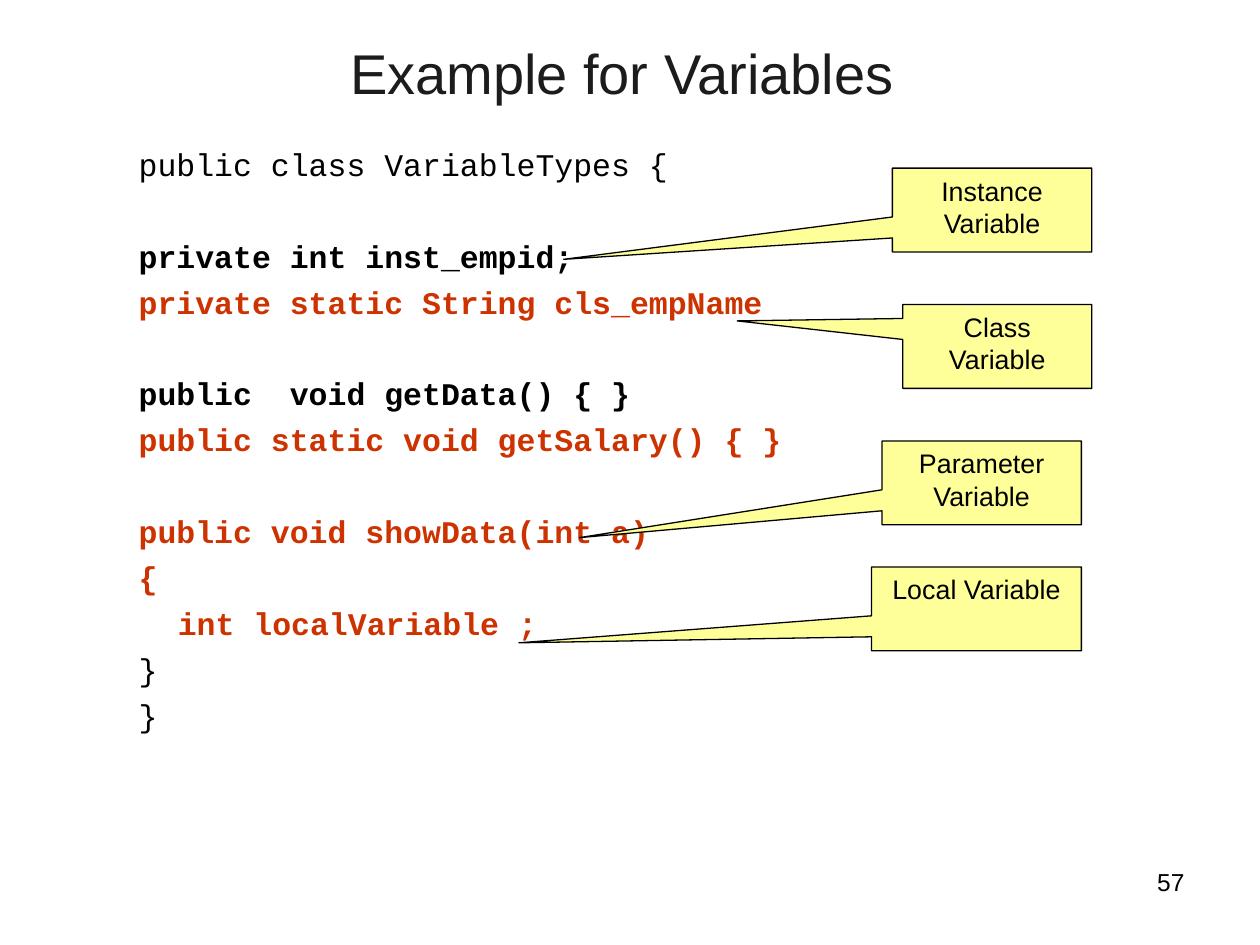
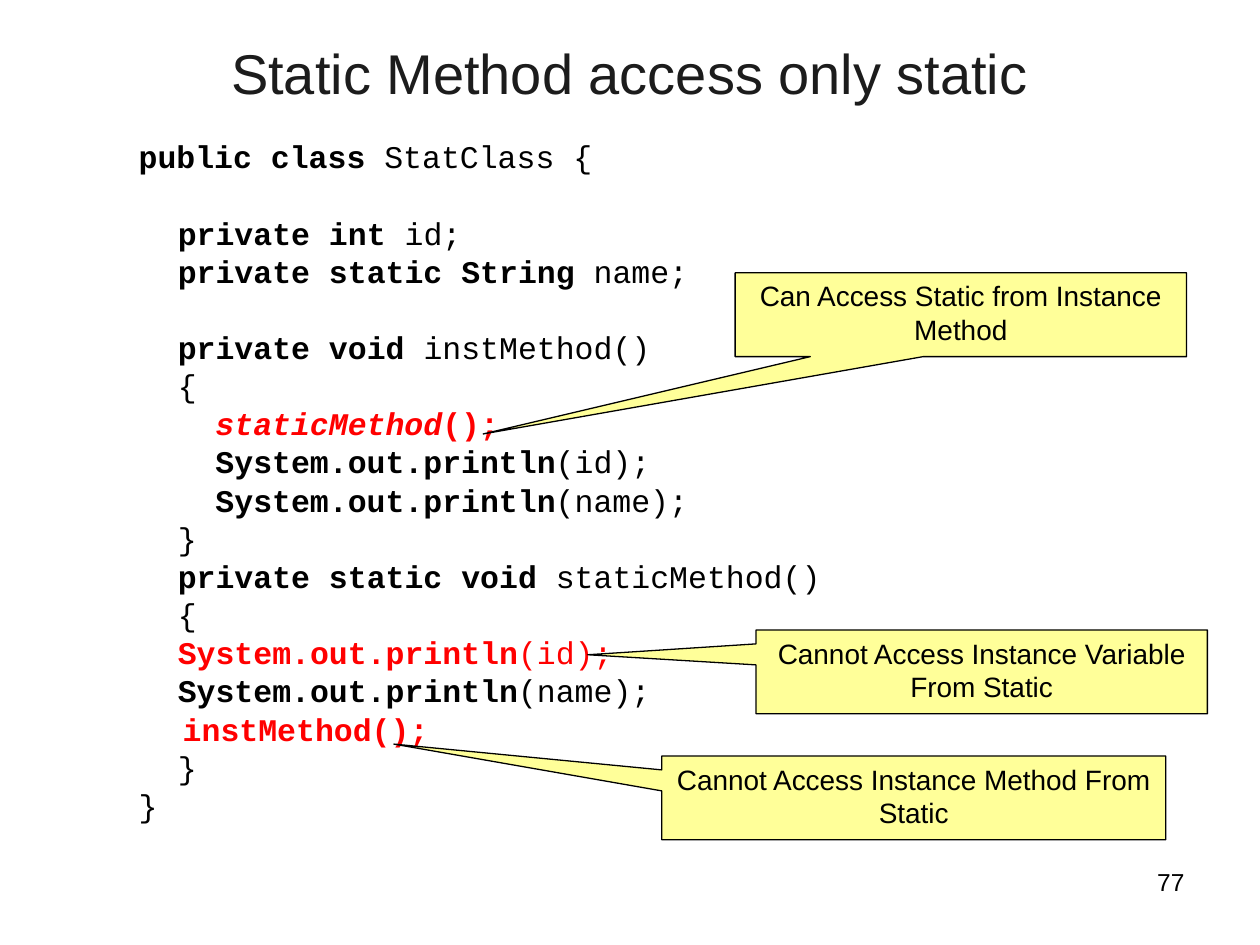
from lxml import etree
from pptx import Presentation
from pptx.dml.color import RGBColor
from pptx.enum.shapes import MSO_SHAPE
from pptx.enum.text import MSO_ANCHOR, MSO_AUTO_SIZE, PP_ALIGN
from pptx.oxml.ns import qn
from pptx.util import Cm, Pt

CALLOUT = MSO_SHAPE.RECTANGULAR_CALLOUT
TOP, MIDDLE = MSO_ANCHOR.TOP, MSO_ANCHOR.MIDDLE
CENTER, RIGHT = PP_ALIGN.CENTER, PP_ALIGN.RIGHT
FIXED = MSO_AUTO_SIZE.NONE

BLACK = RGBColor(0x00, 0x00, 0x00)
CHARCOAL = RGBColor(0x1C, 0x1C, 0x1C)
RUST = RGBColor(0xCC, 0x33, 0x00)
RED = RGBColor(0xFF, 0x00, 0x00)
PALE_YELLOW = RGBColor(0xFF, 0xFF, 0x99)

# Code styles: colour, bold, italic
PLAIN = (BLACK, False, False)
BOLD = (BLACK, True, False)
RUST_BOLD = (RUST, True, False)
RED_PLAIN = (RED, False, False)
RED_BOLD = (RED, True, False)
RED_ITALIC = (RED, True, True)

# Code indents in cm
OUTER, MEMBER, CALL, INNER = 1.27, 2.06, 2.16, 2.82


class Lesson:
    """Holds the deck, the shared style and the current page."""

    sans, mono = "Arial", "Courier New"
    code_size, code_gap = 18, 4.5
    callout_height = 1.69

    def __init__(self):
        self.deck = Presentation()
        self.deck.slide_width, self.deck.slide_height = Cm(25.4), Cm(19.05)
        self.page = None

    def place(self, box, left, top, width, height):
        box.left, box.top = Cm(left), Cm(top)
        box.width, box.height = Cm(width), Cm(height)

    def style(self, span, font, size, color, bold=False, italic=False):
        span.font.name, span.font.size = font, Pt(size)
        span.font.color.rgb = color
        span.font.bold, span.font.italic = bold, italic

    def label(self, box, text, size, color, align, anchor):
        frame = box.text_frame
        frame.text = text
        frame.word_wrap, frame.auto_size = True, FIXED
        frame.vertical_anchor = anchor
        para = frame.paragraphs[0]
        para.alignment = align
        self.style(para.runs[0], self.sans, size, color)

    def start(self, title, number):
        self.page = self.deck.slides.add_slide(self.deck.slide_layouts[1])
        heading = self.page.shapes.title
        self.place(heading, 1.27, 0.76, 22.86, 1.37)
        self.label(heading, title, 32, CHARCOAL, CENTER, MIDDLE)
        footer = self.page.shapes.add_textbox(Cm(18.2), Cm(17.35), Cm(5.93), Cm(1.32))
        self.label(footer, number, 14, BLACK, RIGHT, TOP)

    def code(self, lines, line_height):
        """Each line is (indent, skipped lines before it, *(text, style) spans)."""
        body = self.page.placeholders[1]
        self.place(body, 1.27, 2.72, 22.86, 14.3)
        frame = body.text_frame
        frame.word_wrap, frame.auto_size = True, FIXED
        frame.vertical_anchor, frame.margin_top = TOP, Cm(0.2)
        for index, (indent, skipped, *spans) in enumerate(lines):
            para = frame.add_paragraph() if index else frame.paragraphs[0]
            para.level = 1
            properties = para._p.get_or_add_pPr()
            properties.set("marL", str(Cm(indent)))
            properties.set("indent", "0")
            etree.SubElement(properties, qn("a:buNone"))
            para.line_spacing = Pt(line_height)
            space = self.code_gap + skipped * (line_height + self.code_gap)
            para.space_before = Pt(space if index else 0)
            for text, look in spans:
                span = para.add_run()
                span.text = text
                self.style(span, self.mono, self.code_size, *look)

    def callout(self, text, left, top, width, tip, size):
        height = self.callout_height
        box = self.page.shapes.add_shape(
            CALLOUT, Cm(left), Cm(top), Cm(width), Cm(height))
        # The tip is stored as an offset from the centre, in box sizes
        box.adjustments[0] = (tip[0] - left) / width - 0.5
        box.adjustments[1] = (tip[1] - top) / height - 0.5
        box.shadow.inherit = False
        box.fill.solid()
        box.fill.fore_color.rgb = PALE_YELLOW
        box.line.color.rgb, box.line.width = BLACK, Pt(0.74)
        self.label(box, text, size, BLACK, CENTER, TOP)


lesson = Lesson()

# Kinds of variables
lesson.start("Example for Variables ", "57")
lesson.code([
    (OUTER, 0, ("public class VariableTypes {", PLAIN)),
    (OUTER, 1, ("private int inst_empid;", BOLD)),
    (OUTER, 0, ("private static String cls_empName", RUST_BOLD)),
    (OUTER, 1, ("public  void getData() { }", BOLD)),
    (OUTER, 0, ("public static void getSalary() { }", RUST_BOLD)),
    (OUTER, 1, ("public void showData(int a)", RUST_BOLD)),
    (OUTER, 0, ("{", RUST_BOLD)),
    (MEMBER, 0, ("int localVariable ;", RUST_BOLD)),
    (OUTER, 0, ("}", PLAIN)),
    (OUTER, 0, ("}", PLAIN)),
], 21.7)
for text, left, top, width, tip in [
    ("Instance Variable", 17.99, 3.39, 4.02, (11.36, 5.23)),
    ("Local Variable", 17.57, 11.43, 4.23, (10.46, 12.96)),
    ("Parameter Variable", 17.78, 8.89, 4.02, (11.68, 10.84)),
    ("Class Variable", 18.2, 6.14, 3.81, (14.86, 6.47)),
]:
    lesson.callout(text, left, top, width, tip, 15.3)

# Access from static methods
PRINT = "System.out.println"
lesson.start("Static Method access only static", "77")
lesson.code([
    (OUTER, 0, ("public class", BOLD), (" StatClass {", PLAIN)),
    (MEMBER, 1, ("private int", BOLD), (" id;", PLAIN)),
    (MEMBER, 0, ("private static String", BOLD), (" name;", PLAIN)),
    (MEMBER, 1, ("private void", BOLD), (" instMethod()", PLAIN)),
    (MEMBER, 0, ("{", PLAIN)),
    (INNER, 0, ("staticMethod", RED_ITALIC), ("();", RED_BOLD)),
    (INNER, 0, (PRINT, BOLD), ("(id);", PLAIN)),
    (INNER, 0, (PRINT, BOLD), ("(name);", PLAIN)),
    (MEMBER, 0, ("}", PLAIN)),
    (MEMBER, 0, ("private static void", BOLD), (" staticMethod()", PLAIN)),
    (MEMBER, 0, ("{", PLAIN)),
    (MEMBER, 0, (PRINT, RED_BOLD), ("(id);", RED_PLAIN)),
    (MEMBER, 0, (PRINT, BOLD), ("(name);", PLAIN)),
    (CALL, 0, ("instMethod();", RED_BOLD)),
    (MEMBER, 0, ("}", PLAIN)),
    (OUTER, 0, ("}", PLAIN)),
], 17.3)
for text, left, top, width, tip in [
    ("Cannot Access Instance Method From Static", 13.34, 15.24, 10.16, (7.94, 15)),
    ("Cannot Access Instance Variable From Static", 15.24, 12.7, 9.1, (11.85, 13.2)),
    ("Can Access Static from Instance Method", 14.82, 5.5, 9.1, (9.74, 8.75)),
]:
    lesson.callout(text, left, top, width, tip, 16)

lesson.deck.save("out.pptx")
